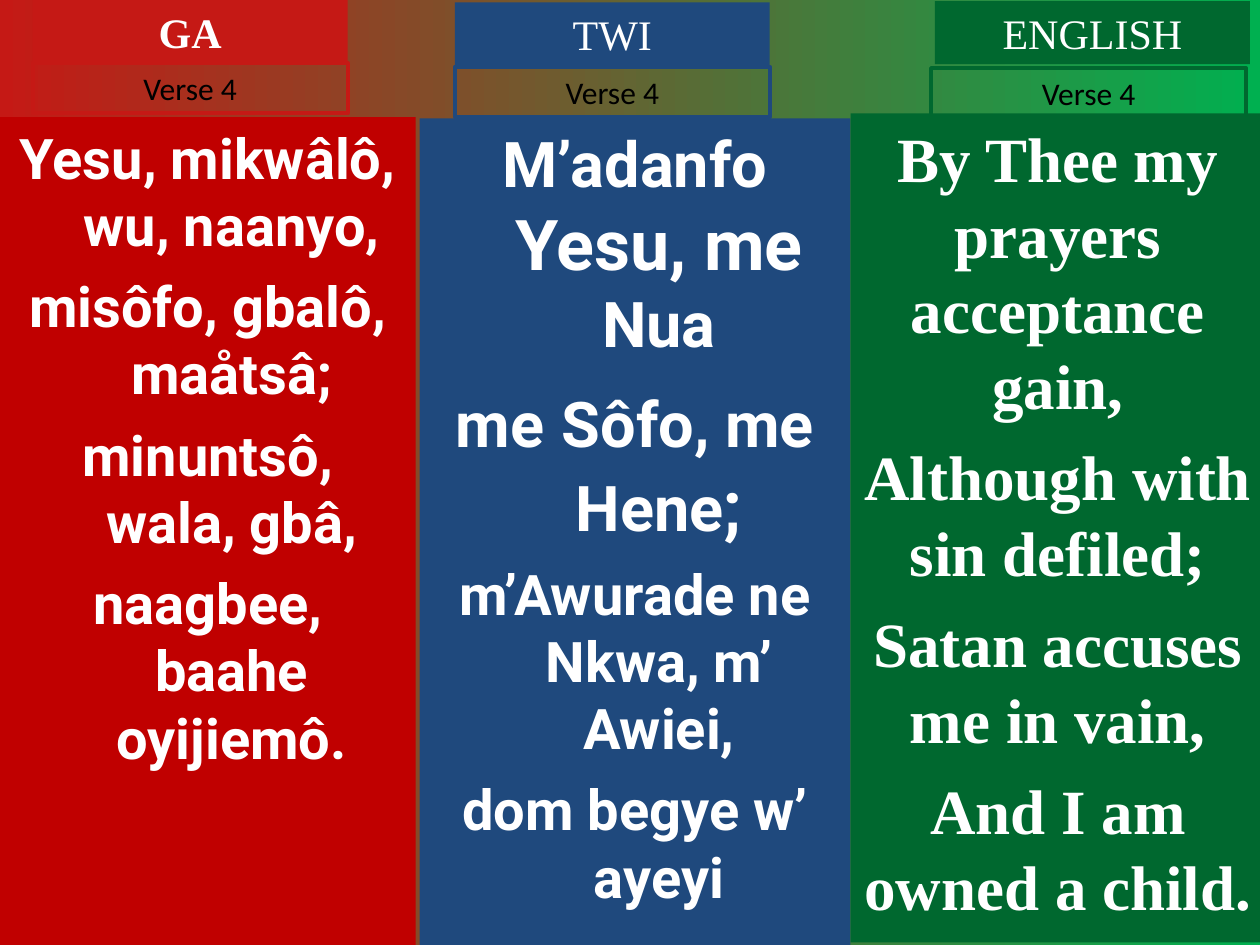
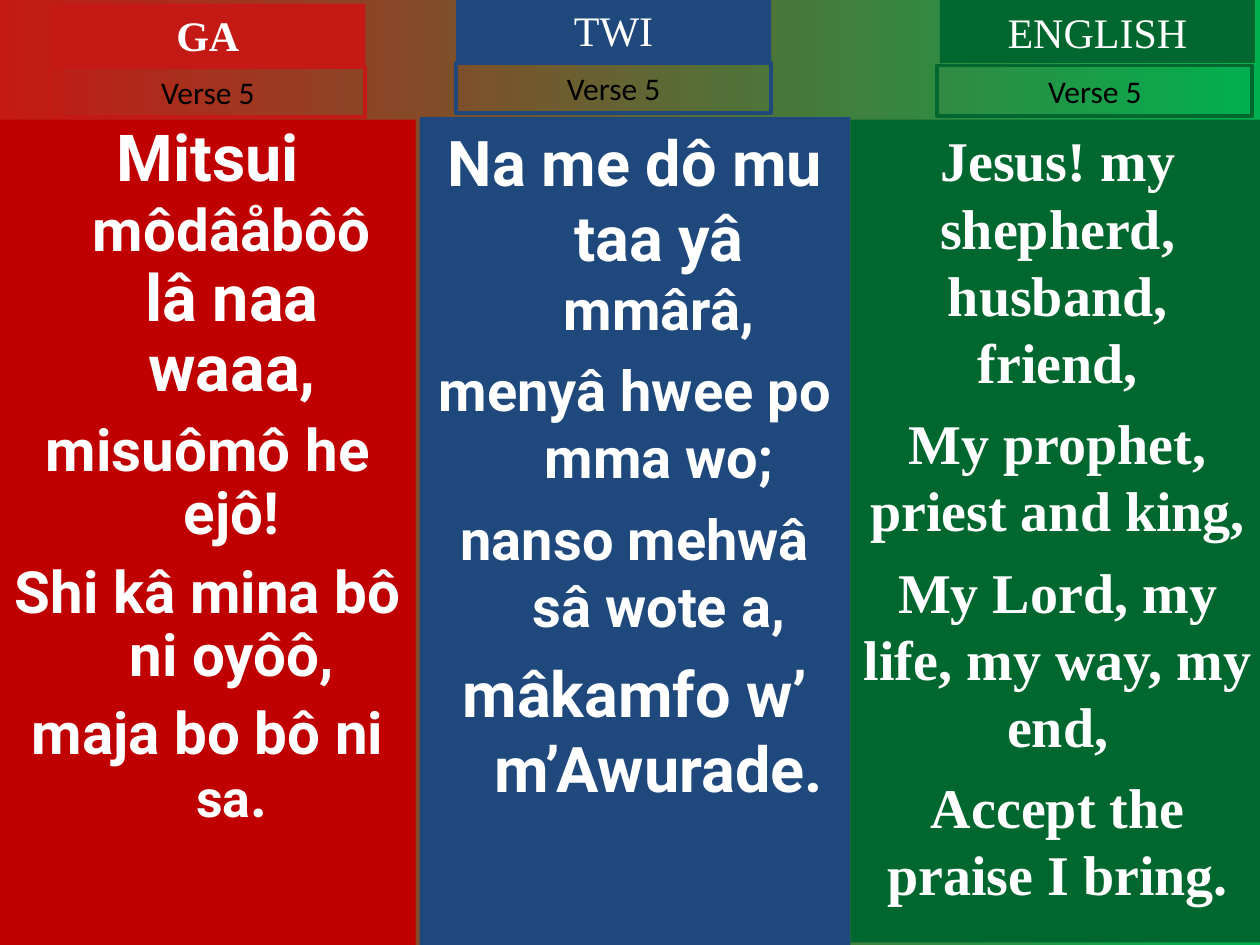
"""Build two hymn slides with Ga, Twi and English verses side by side."""
from dataclasses import dataclass
from typing import Any

from pptx import Presentation
from pptx.dml.color import RGBColor
from pptx.enum.shapes import MSO_SHAPE
from pptx.enum.text import MSO_ANCHOR, PP_ALIGN
from pptx.util import Inches, Pt

RECTANGLE = MSO_SHAPE.RECTANGLE
TOP = MSO_ANCHOR.TOP
CENTER = PP_ALIGN.CENTER

SLIDE_WIDTH, SLIDE_HEIGHT = Inches(10), Inches(7.5)
COLUMNS, ROWS = 100, 75
TAB_WIDTH, TAB_ROWS, LABEL_ROWS = 25, 5, 4
HANGING = Inches(0.38)
RED, GREEN, WHITE, BLACK = "C51915", "00B050", "FFFFFF", "000000"
SERIF, SANS, LABEL_FONT = "Times New Roman", "Roboto", "Calibri"


@dataclass(frozen=True)
class Language:
    """Fixed look and column of one language."""
    name: str
    panel_color: str
    tab_color: str
    font: str
    left: float
    width: float
    bottom: float
    indent: int = 0
    bold_name: bool = False


@dataclass(frozen=True)
class Run:
    """Words in one size."""
    text: str
    size: float


@dataclass(frozen=True)
class Line:
    """One paragraph of a verse."""
    runs: tuple[Run, ...]
    space_before: float = 8
    spacing: float = 1.0


@dataclass(frozen=True)
class Verse:
    """One language's verse and the grid places of its parts."""
    language: Language
    panel_top: float
    tab: tuple[float, float]
    label: tuple[float, float]
    lines: tuple[Line, ...]


def color(value: str) -> RGBColor:
    """Turn a hex string into a colour."""
    return RGBColor.from_string(value)


def plain(size: float, space: float, *texts: str, spacing: float = 1.0) -> tuple[Line, ...]:
    """Make one single-size line per text."""
    return tuple(Line((Run(text, size),), space, spacing) for text in texts)


GA = Language("GA", "C00000", RED, SANS, 0, 33, 75, HANGING, True)
TWI = Language("TWI", "1F497D", "1F497D", SANS, 33.3, 34.2, 75, HANGING)
ENGLISH = Language("ENGLISH", "00682F", "00682F", SERIF, 67.5, 32.9, 74.8)

VERSES = {
    4: (
        Verse(GA, 9.3, (2.6, 0), (2.6, 5), plain(
            32, 8, "Yesu, mikwâlô, wu, naanyo,", "misôfo, gbalô, maåtsâ;",
            "minuntsô, wala, gbâ,", "naagbee, baahe oyijiemô.")),
        Verse(TWI, 9.4, (36.1, 0.2), (36.1, 5.3), (
            Line((Run("M’adanfo ", 36), Run("Yesu, me ", 40), Run("Nua", 36)), 9),
            Line((Run("me", 36), Run(" ", 40), Run("Sôfo, me Hene", 36), Run(";", 40)), 10),
            *plain(32, 8, "m’Awurade ne Nkwa, m’ Awiei,", "dom begye w’ ayeyi"))),
        Verse(ENGLISH, 9, (74.2, 0.1), (73.9, 5.4), plain(
            36, 9, "By Thee my prayers acceptance gain,", "Although with sin defiled;",
            "Satan accuses me in vain,", "And I am owned a child.")),
    ),
    5: (
        Verse(GA, 9.5, (4, 0.3), (4, 5.3), (
            Line((Run("Mitsui ", 37), Run("môdâåbôô", 33.3), Run(" lâ naa waaa,", 37)), 10, 0.9),
            *plain(33.3, 9, "misuômô he ejô!", "Shi kâ mina bô ni oyôô,", spacing=0.9),
            Line((Run("maja bo bô ni ", 33.3), Run("sa", 29.6), Run(".", 33.3)), 9, 0.9))),
        Verse(TWI, 9.3, (36.2, -0.1), (36.2, 5), (
            Line((Run("Na me dô mu taa yâ ", 36), Run("mmârâ,", 32))),
            *plain(32, 8, "menyâ hwee po mma wo;", "nanso mehwâ sâ wote a,"),
            *plain(36, 9, "mâkamfo w’ m’Awurade."))),
        Verse(ENGLISH, 9.5, (74.6, 0), (74.4, 5.2), plain(
            32, 8, "Jesus! my shepherd, husband, friend,", "My prophet, priest and king,",
            "My Lord, my life, my way, my end,", "Accept the praise I bring.")),
    ),
}


def apply_format(target: Any, values: dict[str, Any]) -> None:
    """Set each named attribute on the target."""
    for name, value in values.items():
        setattr(target, name, value)


def add_box(slide: Any, left: float, top: float, width: float, height: float,
            fill: str | None = None, outline: str | None = None) -> Any:
    """Draw a rectangle on the grid and return its shape."""
    column, row = SLIDE_WIDTH / COLUMNS, SLIDE_HEIGHT / ROWS
    shape = slide.shapes.add_shape(RECTANGLE, round(left * column), round(top * row),
                                   round(width * column), round(height * row))
    shape.shadow.inherit = False
    if fill:
        shape.fill.solid()
        shape.fill.fore_color.rgb = color(fill)
    else:
        shape.fill.background()
    if outline:
        shape.line.color.rgb = color(outline)
        shape.line.width = Pt(2.25)
    else:
        shape.line.fill.background()
    apply_format(shape.text_frame, {"word_wrap": True, "vertical_anchor": TOP})
    return shape


def write_lines(shape: Any, lines: tuple[Line, ...], font: str, text_color: str,
                bold: bool, indent: int = 0) -> None:
    """Write centred paragraphs into a shape."""
    frame = shape.text_frame
    for index, line in enumerate(lines):
        paragraph = frame.add_paragraph() if index else frame.paragraphs[0]
        apply_format(paragraph, {
            "alignment": CENTER,
            "line_spacing": line.spacing,
            "space_before": Pt(line.space_before if index else 0),
        })
        if indent:
            properties = paragraph._p.get_or_add_pPr()
            properties.set("marL", str(indent))
            properties.set("indent", str(-indent))
        for piece in line.runs:
            run = paragraph.add_run()
            run.text = piece.text
            apply_format(run.font, {"name": font, "size": Pt(piece.size), "bold": bold})
            run.font.color.rgb = color(text_color)


def draw_verse(slide: Any, number: int, verse: Verse) -> None:
    """Draw the panel, language tab and verse label of one language."""
    language = verse.language
    panel = add_box(slide, language.left, verse.panel_top, language.width,
                    language.bottom - verse.panel_top, fill=language.panel_color)
    write_lines(panel, verse.lines, language.font, WHITE, True, language.indent)
    tab = add_box(slide, *verse.tab, TAB_WIDTH, TAB_ROWS, fill=language.tab_color)
    write_lines(tab, plain(24, 0, language.name), SERIF, WHITE, language.bold_name)
    label = add_box(slide, *verse.label, TAB_WIDTH, LABEL_ROWS, outline=language.tab_color)
    write_lines(label, plain(18, 0, f"Verse {number}"), LABEL_FONT, BLACK, False)


def paint_background(slide: Any) -> None:
    """Fill the background with a left-to-right gradient."""
    fill = slide.background.fill
    fill.gradient()
    fill.gradient_angle = 0
    for stop, value in zip(fill.gradient_stops, (RED, GREEN)):
        stop.color.rgb = color(value)


def main() -> None:
    """Build and save the presentation."""
    presentation = Presentation()
    apply_format(presentation, {"slide_width": SLIDE_WIDTH, "slide_height": SLIDE_HEIGHT})
    for number, verses in VERSES.items():
        slide = presentation.slides.add_slide(presentation.slide_layouts[6])
        paint_background(slide)
        for verse in verses:
            draw_verse(slide, number, verse)
    presentation.save("out.pptx")


if __name__ == "__main__":
    main()
